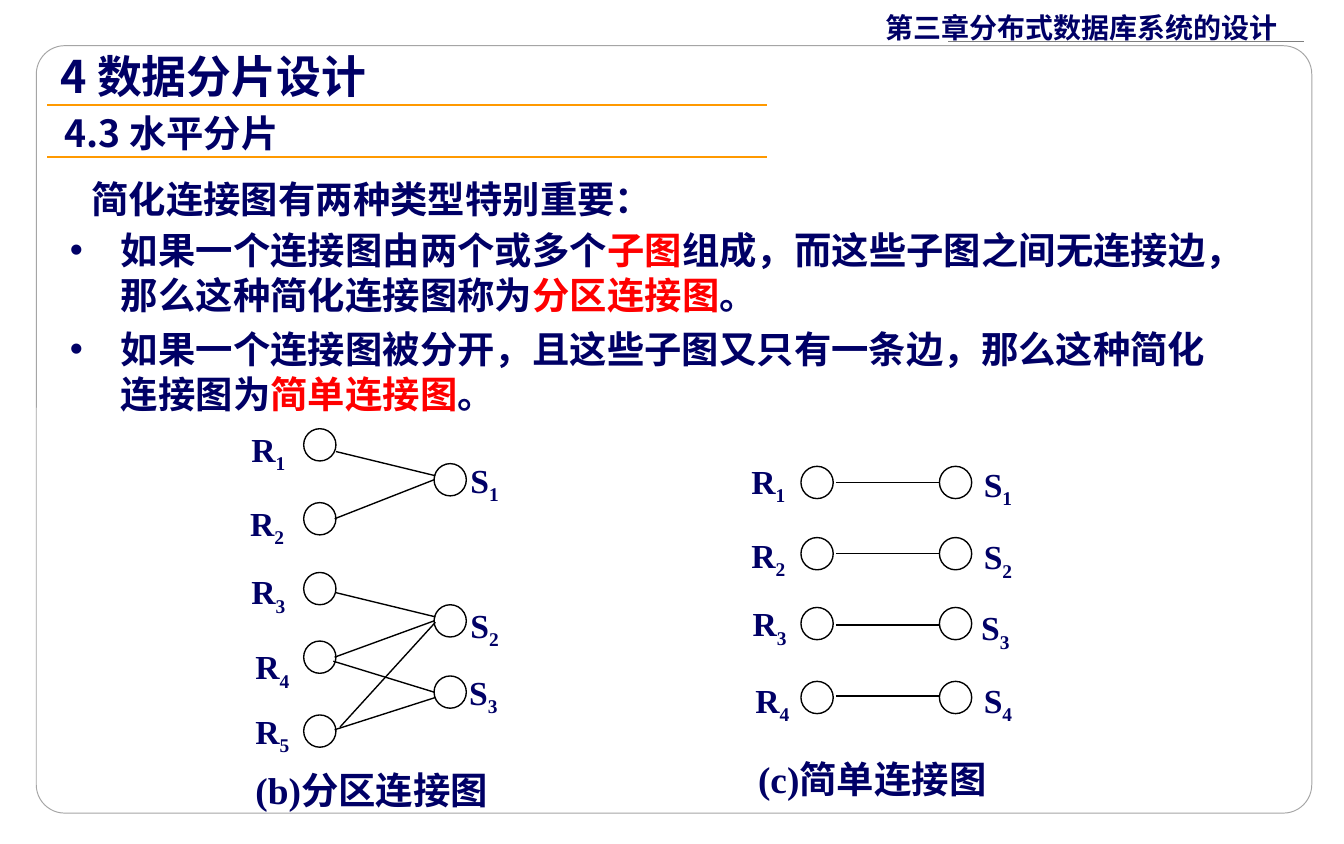
from lxml import etree
from pptx import Presentation
from pptx.dml.color import RGBColor
from pptx.enum.shapes import MSO_CONNECTOR, MSO_SHAPE
from pptx.enum.text import MSO_ANCHOR, MSO_AUTO_SIZE, PP_ALIGN
from pptx.oxml.ns import qn
from pptx.util import Pt

PX = 9144
STRAIGHT = MSO_CONNECTOR.STRAIGHT
OVAL, ROUND = MSO_SHAPE.OVAL, MSO_SHAPE.ROUNDED_RECTANGLE
LEFT, TOP, FIXED = PP_ALIGN.LEFT, MSO_ANCHOR.TOP, MSO_AUTO_SIZE.NONE
NAVY, RED, BLACK, ORANGE = "000066", "FF0000", "000000", "FF9900"
SERIF, SANS = "Times New Roman", "Noto Sans CJK SC"
DOT = 24


def px(*nums):
    """Turn px lengths into EMU."""
    return [num * PX for num in nums]


def paint(color, code):
    """Set a colour from a hex string."""
    color.rgb = RGBColor.from_string(code)


def stroke(shape, code, width):
    """Give a shape or connector its line."""
    paint(shape.line.color, code)
    shape.line.width = Pt(width)


def link(shapes, ends, code=BLACK, width=0.75):
    """Draw a straight line without shadow."""
    line = shapes.add_connector(STRAIGHT, *px(*ends))
    stroke(line, code, width)
    etree.SubElement(line._element.spPr, qn("a:effectLst"))


def style(para, size, face):
    """Set the paragraph font for Latin and Chinese text."""
    font = para.font
    font.size, font.bold, font.name = Pt(size), True, face
    paint(font.color, NAVY)
    base = para._p.pPr.find(qn("a:defRPr"))
    etree.SubElement(base, qn("a:ea"), typeface=SANS)
    para.alignment = LEFT


def setup(frame, side=9):
    """Set the wrapping, anchor and margins of a text frame."""
    frame.word_wrap, frame.auto_size = True, FIXED
    frame.vertical_anchor = TOP
    frame.margin_left = frame.margin_right = side * PX
    frame.margin_top = frame.margin_bottom = 5 * PX


def place(shape, box):
    """Move and size a placeholder."""
    shape.left, shape.top, shape.width, shape.height = px(*box)


def label(shapes, box, text, size=20, face=SERIF, sub="", side=9):
    """Add one line of text, with a subscript if given."""
    frame = shapes.add_textbox(*px(*box)).text_frame
    setup(frame, side)
    para = frame.paragraphs[0]
    style(para, size, face)
    para.add_run().text = text
    if sub:
        run = para.add_run()
        run.text = sub
        run._r.get_or_add_rPr().set("baseline", "-25000")


def heading(title):
    """Fill the title placeholder."""
    place(title, (35, 31, 500, 50))
    setup(title.text_frame, 10)
    title.text_frame.text = "4 数据分片设计"
    style(title.text_frame.paragraphs[0], 24, SANS)


def bullets(body, items):
    """Fill the body with bullets whose odd pieces are red."""
    place(body, (43, 164, 874, 165))
    frame = body.text_frame
    setup(frame)
    for num, parts in enumerate(items):
        para = frame.add_paragraph() if num else frame.paragraphs[0]
        props = para._p.get_or_add_pPr()
        props.set("marL", str(38 * PX))
        props.set("indent", str(-38 * PX))
        etree.SubElement(props, qn("a:buChar"), char="•")
        style(para, 20, SERIF)
        para.space_before = Pt(5 if num else 0)
        for spot, part in enumerate(parts):
            run = para.add_run()
            run.text = part
            if spot % 2:
                paint(run.font.color, RED)


def panel(slide):
    """Put the rounded frame behind the title."""
    shape = slide.shapes.add_shape(ROUND, *px(27, 34, 949, 571))
    shape.shadow.inherit = False
    shape.adjustments[0] = 0.037
    shape.fill.solid()
    paint(shape.fill.fore_color, "FFFFFF")
    tint = shape._element.spPr.find(".//" + qn("a:srgbClr"))
    etree.SubElement(tint, qn("a:alpha"), val="85000")
    stroke(shape, "A5A5A5", 0.5)
    slide.shapes.title._element.addprevious(shape._element)


def nodes(shapes, name, left, tops, spots):
    """Draw a column of circles with numbered labels."""
    for top in tops:
        dot = shapes.add_shape(OVAL, *px(left, top, DOT, DOT))
        dot.shadow.inherit = False
        dot.fill.background()
        stroke(dot, BLACK, 0.75)
    for num, spot in enumerate(spots, 1):
        label(shapes, (*spot, 79, 39), name, 18, sub=str(num))


def graph(slide, cols, edges):
    """Group the node columns and edges of one graph."""
    shapes = slide.shapes.add_group_shape().shapes
    for col in cols:
        nodes(shapes, *col)
    for edge in edges:
        link(shapes, edge)


def main():
    """Build the slide and save it."""
    deck = Presentation()
    deck.slide_width, deck.slide_height = px(1000, 628)
    slide = deck.slides.add_slide(deck.slide_layouts[1])
    shapes = slide.shapes
    panel(slide)
    heading(shapes.title)
    bullets(slide.placeholders[1], [
        ("如果一个连接图由两个或多个", "子图",
         "组成，而这些子图之间无连接边，那么这种简化连接图称为", "分区连接图", "。"),
        ("如果一个连接图被分开，且这些子图又只有一条边，那么这种简化连接图为",
         "简单连接图", "。"),
    ])
    label(shapes, (650, 3, 315, 34), "第三章分布式数据库系统的设计", 15, SANS)
    link(shapes, (970, 31, 705, 31), "7F7F7F")
    label(shapes, (38, 77, 580, 44), "4.3 水平分片", face=SANS, side=10)
    for top in (78, 117):
        link(shapes, (35, top, 571, top), ORANGE, 1)
    label(shapes, (59, 126, 756, 44), "简化连接图有两种类型特别重要：")

    graph(slide, [
        ("R", 226, (319, 374, 426, 477, 532),
         [(178, 314), (177, 369), (178, 420), (181, 476), (181, 524)]),
        ("S", 323, (345, 450, 503), [(341, 337), (341, 445), (340, 495)]),
    ], [
        (250, 336, 324, 354), (249, 386, 323, 357), (250, 441, 324, 459),
        (249, 489, 323, 462), (248, 492, 323, 515), (253, 541, 324, 463),
        (249, 543, 324, 519),
    ])
    label(shapes, (181, 566, 215, 44), "(b)分区连接图")

    rows = (347, 400, 452, 507)
    graph(slide, [
        ("R", 596, rows, [(550, 338), (550, 393), (551, 444), (553, 501)]),
        ("S", 699, rows, [(723, 340), (723, 394), (721, 447), (723, 501)]),
    ], [(622, top, 699, top) for top in range(359, 519, 53)])
    label(shapes, (555, 558, 221, 44), "(c)简单连接图")
    deck.save("out.pptx")


if __name__ == "__main__":
    main()
